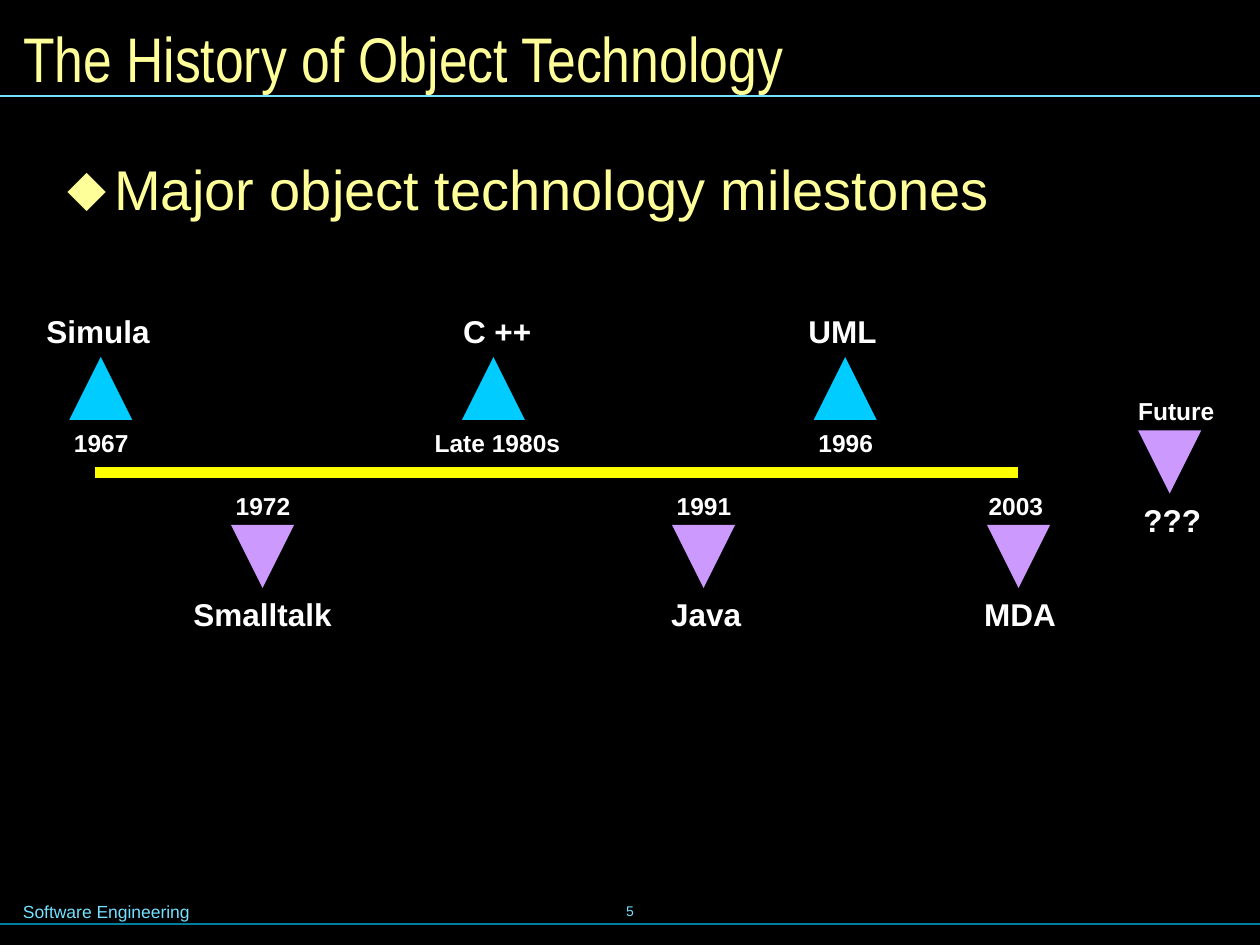
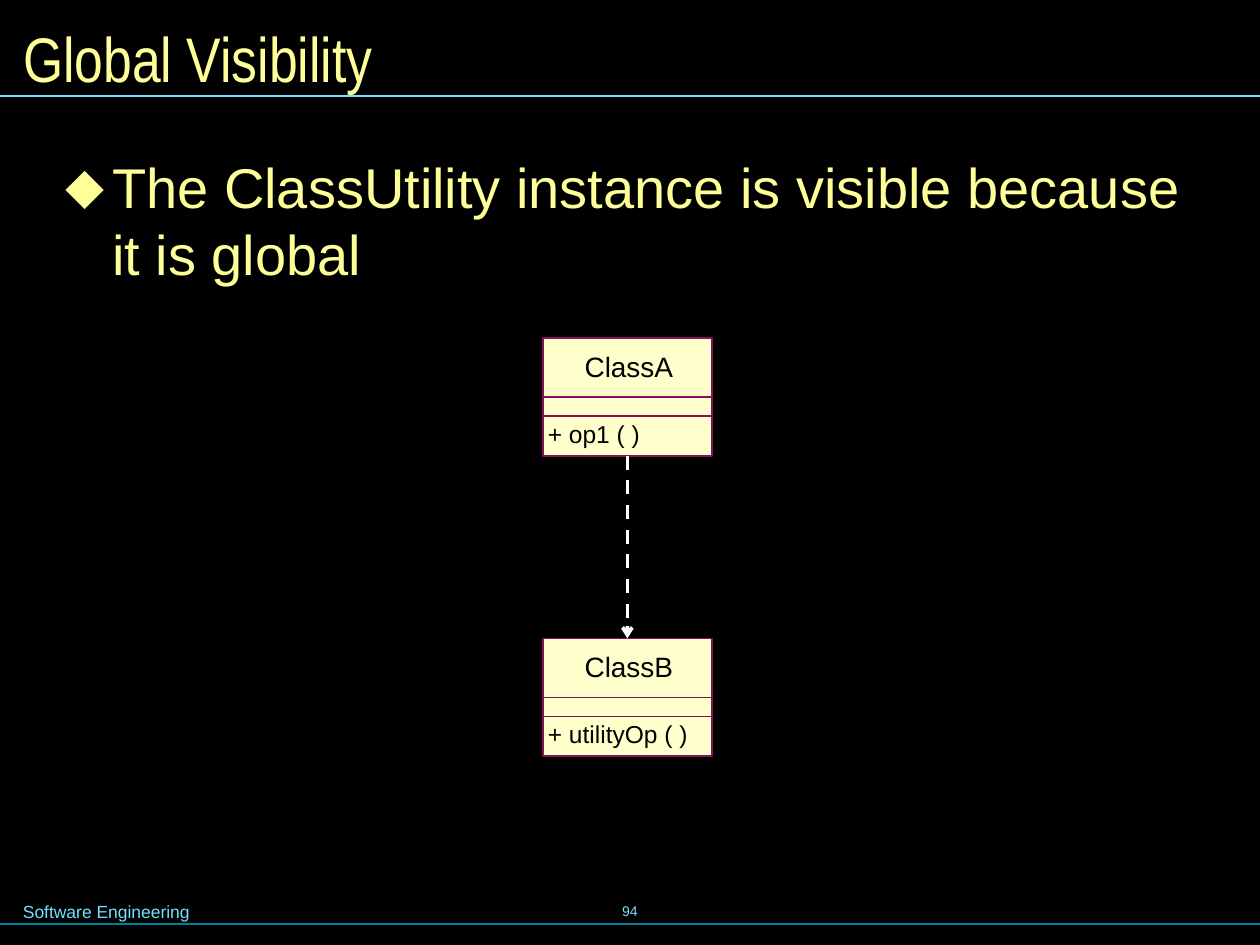
from dataclasses import dataclass

from lxml.etree import SubElement
from pptx import Presentation
from pptx.dml.color import RGBColor
from pptx.enum.dml import MSO_LINE
from pptx.enum.shapes import MSO_CONNECTOR, MSO_SHAPE
from pptx.enum.text import MSO_ANCHOR, MSO_AUTO_SIZE, PP_ALIGN
from pptx.oxml.ns import qn
from pptx.presentation import Presentation as Deck
from pptx.shapes.autoshape import Shape
from pptx.shapes.connector import Connector
from pptx.slide import Slide
from pptx.text.text import TextFrame
from pptx.util import Inches, Pt

WIDTH, HEIGHT = Inches(10), Inches(7.5)
COLUMNS, ROWS = 120, 90
COLOURS = {
    "background": "000000",
    "heading": "FFFF99",
    "footer": "73E1FF",
    "footer_rule": "007E9F",
    "label": "FFFFFF",
    "timeline": "FFFF00",
    "above": "00CCFF",
    "below": "CC99FF",
    "class_fill": "FFFFCC",
    "class_line": "8A0E5E",
    "class_text": "000000",
}
WIDE_INSET, NORMAL_INSET, NO_INSET = (0.12, 0.06), (0.1, 0.05), (0, 0)


@dataclass(frozen=True)
class Box:
    """An area in grid columns and rows."""

    left: float
    top: float
    width: float
    height: float


@dataclass(frozen=True)
class Style:
    """The look of a piece of text."""

    size: float
    colour: str
    font: str = "Arial"
    bold: bool = False
    align: PP_ALIGN = PP_ALIGN.LEFT
    inset: tuple[float, float] = NORMAL_INSET
    wrap: bool = True


@dataclass(frozen=True)
class Milestone:
    """A technology and its date, around a triangle on the timeline."""

    name: str
    date: str
    centre: float
    top: float
    above: bool
    name_width: float
    date_width: float = 8
    name_shift: float = 0
    date_shift: float = 0


@dataclass(frozen=True)
class ClassBox:
    """A class with one operation."""

    name: str
    operation: str
    top: float
    operation_width: float


TITLE = Style(36, "heading", font="Arial Narrow")
BODY = Style(32, "heading", inset=WIDE_INSET)
FOOTER = Style(10, "footer")
PAGE = Style(8, "footer", align=PP_ALIGN.CENTER, wrap=False)
NAME = Style(18, "label", bold=True, align=PP_ALIGN.CENTER, inset=WIDE_INSET, wrap=False)
DATE = Style(14, "label", bold=True, inset=WIDE_INSET, wrap=False)
CLASS_NAME = Style(16, "class_text", align=PP_ALIGN.CENTER, inset=NO_INSET, wrap=False)
OPERATION = Style(14, "class_text")

MILESTONES = [
    Milestone("Simula", "1967", 9.6, 34, True, 12.7, name_shift=-0.25),
    Milestone("C ++", "Late 1980s", 47, 34, True, 9.4, 14.8, 0.35, 0.35),
    Milestone("Smalltalk", "1972", 25, 50, False, 16),
    Milestone("Java", "1991", 67, 50, False, 9.5, name_shift=0.25),
    Milestone("UML", "1996", 80.5, 34, True, 9.4, name_shift=-0.25),
    Milestone("MDA", "2003", 97, 50, False, 9.7, name_shift=0.15, date_shift=-0.3),
    Milestone("???", "Future", 111.4, 41, False, 8.4, 10, 0.25, 0.55),
]
CLASSES = [
    ClassBox("ClassA", "+ op1 ( )", 32.2, 11.3),
    ClassBox("ClassB", "+ utilityOp ( )", 60.8, 17.3),
]


def x(columns: float) -> int:
    """Return the length of a number of grid columns."""
    return round(WIDTH * columns / COLUMNS)


def y(rows: float) -> int:
    """Return the length of a number of grid rows."""
    return round(HEIGHT * rows / ROWS)


def area(box: Box) -> tuple[int, int, int, int]:
    """Return left, top, width and height on the slide."""
    return x(box.left), y(box.top), x(box.width), y(box.height)


def colour(name: str) -> RGBColor:
    """Return a named colour."""
    return RGBColor.from_string(COLOURS[name])


def write(frame: TextFrame, words: str, style: Style) -> None:
    """Put one styled paragraph into a text frame."""
    frame.auto_size = MSO_AUTO_SIZE.NONE
    frame.word_wrap = style.wrap
    frame.margin_left = frame.margin_right = Inches(style.inset[0])
    frame.margin_top = frame.margin_bottom = Inches(style.inset[1])
    paragraph = frame.paragraphs[0]
    paragraph.alignment = style.align
    run = paragraph.add_run()
    run.text = words
    run.font.name, run.font.size, run.font.bold = style.font, Pt(style.size), style.bold
    run.font.color.rgb = colour(style.colour)


def add_label(slide: Slide, box: Box, words: str, style: Style) -> Shape:
    """Add a text box."""
    label = slide.shapes.add_textbox(*area(box))
    write(label.text_frame, words, style)
    return label


def add_block(slide: Slide, preset: MSO_SHAPE, box: Box, fill: str) -> Shape:
    """Add a flat shape without an outline."""
    block = slide.shapes.add_shape(preset, *area(box))
    block.shadow.inherit = False
    block.fill.solid()
    block.fill.fore_color.rgb = colour(fill)
    block.line.fill.background()
    return block


def add_rule(slide: Slide, start: float, end: float, row: float,
             line: str, weight: float, end_row: float | None = None) -> Connector:
    """Add a straight line, level unless an end row is given."""
    bottom = row if end_row is None else end_row
    rule = slide.shapes.add_connector(MSO_CONNECTOR.STRAIGHT, x(start), y(row), x(end), y(bottom))
    rule.line.color.rgb = colour(line)
    rule.line.width = Pt(weight)
    SubElement(rule._element.spPr, qn("a:effectLst"))
    return rule


def place(holder: Shape, box: Box, words: str, style: Style) -> None:
    """Move and fill a placeholder."""
    holder.left, holder.top, holder.width, holder.height = area(box)
    write(holder.text_frame, words, style)


def add_diamond_bullet(holder: Shape) -> None:
    """Give the first paragraph a hanging diamond bullet."""
    paragraph = holder.text_frame.paragraphs[0]
    paragraph.space_before = Pt(4)
    properties = paragraph._p.get_or_add_pPr()
    properties.set("marL", str(Inches(0.37)))
    properties.set("indent", str(-Inches(0.37)))
    bullet_colour = SubElement(properties, qn("a:buClr"))
    SubElement(bullet_colour, qn("a:srgbClr")).set("val", COLOURS["heading"])
    SubElement(properties, qn("a:buChar")).set("char", "⬥")


def add_page(deck: Deck, title: str, statement: str, body: Box, number: str) -> Slide:
    """Add a slide with its title, statement, rules and footer."""
    slide = deck.slides.add_slide(deck.slide_layouts[1])
    add_label(slide, Box(41, 83.8, 38, 6), number, PAGE).text_frame.vertical_anchor = MSO_ANCHOR.MIDDLE
    add_rule(slide, 0, COLUMNS, 88, "footer_rule", 0.75)
    add_rule(slide, 0, COLUMNS, 9.15, "footer", 0.75)
    add_label(slide, Box(1, 85.2, 35.4, 3.2), "Software Engineering", FOOTER)
    place(slide.shapes.title, Box(1, 1, 118, 9), title, TITLE)
    slide.shapes.title.text_frame.vertical_anchor = MSO_ANCHOR.MIDDLE
    place(slide.placeholders[1], body, statement, BODY)
    add_diamond_bullet(slide.placeholders[1])
    return slide


def add_milestone(slide: Slide, milestone: Milestone) -> None:
    """Draw a triangle with its name and date on opposite sides."""
    side = 6
    triangle = add_block(slide, MSO_SHAPE.ISOSCELES_TRIANGLE,
                         Box(milestone.centre - side / 2, milestone.top, side, side),
                         "above" if milestone.above else "below")
    triangle.rotation = 0 if milestone.above else 180
    name_height, date_height = 5, 4
    under = milestone.top + side
    name_top = milestone.top - name_height if milestone.above else under
    date_top = under if milestone.above else milestone.top - date_height
    for words, style, width, shift, top, height in (
        (milestone.name, NAME, milestone.name_width, milestone.name_shift, name_top, name_height),
        (milestone.date, DATE, milestone.date_width, milestone.date_shift, date_top, date_height),
    ):
        left = milestone.centre + shift - width / 2
        add_label(slide, Box(left, top, width, height), words, style)


def add_class(slide: Slide, uml_class: ClassBox) -> Shape:
    """Draw a class with name, attribute and operation compartments."""
    left, width, top = 51.7, 16.1, uml_class.top
    outline = add_block(slide, MSO_SHAPE.RECTANGLE, Box(left, top, width, 11.2), "class_fill")
    outline.line.color.rgb = colour("class_line")
    outline.line.width = Pt(1)
    for divider in (5.64, 7.44):
        add_rule(slide, left, left + width, top + divider, "class_line", 1)
    heading = add_block(slide, MSO_SHAPE.RECTANGLE, Box(55.7, top + 1.05, 8.4, 3.2), "class_fill")
    write(heading.text_frame, uml_class.name, CLASS_NAME)
    heading.text_frame.vertical_anchor = MSO_ANCHOR.TOP
    add_label(slide, Box(51, top + 7.1, uml_class.operation_width, 4), uml_class.operation, OPERATION)
    return outline


def build_history(deck: Deck) -> None:
    """Build the timeline slide."""
    slide = add_page(deck, "The History of Object Technology",
                     "Major object technology milestones", Box(5, 14, 111.5, 20), "5")
    add_rule(slide, 9, 97, 45, "timeline", 6.5)
    for milestone in MILESTONES:
        add_milestone(slide, milestone)


def build_visibility(deck: Deck) -> None:
    """Build the class dependency slide."""
    slide = add_page(deck, "Global Visibility",
                     "The ClassUtility instance is visible because it is global",
                     Box(4.8, 13.8, 111.5, 66.2), "94")
    client, utility = [add_class(slide, uml_class) for uml_class in CLASSES]
    dependency = add_rule(slide, 59.75, 59.75, 43.4, "label", 2, 60.8)
    dependency.begin_connect(client, 2)
    dependency.end_connect(utility, 0)
    dependency.line.dash_style = MSO_LINE.DASH
    SubElement(dependency.line._get_or_add_ln(), qn("a:tailEnd")).set("type", "arrow")


def main() -> None:
    """Build and save the deck."""
    deck = Presentation()
    deck.slide_width, deck.slide_height = WIDTH, HEIGHT
    backdrop = deck.slide_master.background.fill
    backdrop.solid()
    backdrop.fore_color.rgb = colour("background")
    build_history(deck)
    build_visibility(deck)
    deck.save("out.pptx")


if __name__ == "__main__":
    main()
